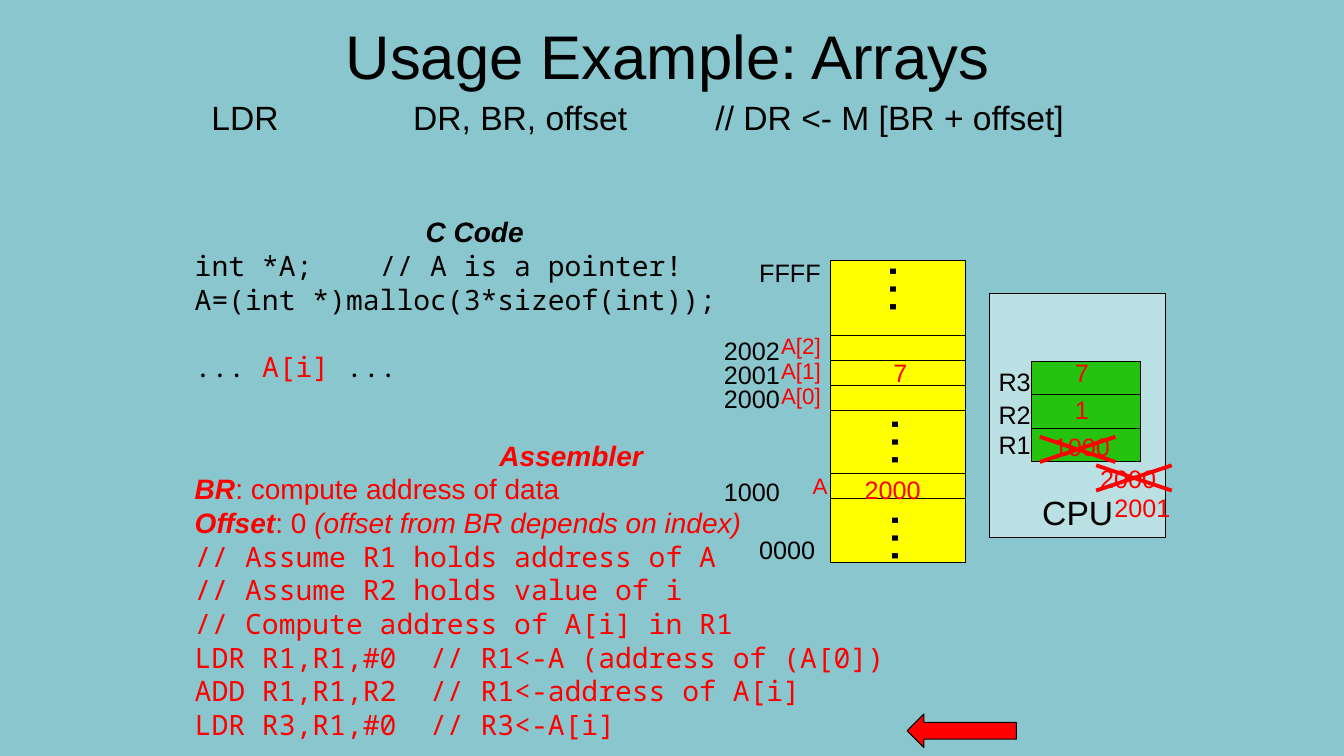
from lxml import etree
from pptx import Presentation
from pptx.dml.color import RGBColor
from pptx.enum.shapes import MSO_CONNECTOR, MSO_SHAPE
from pptx.enum.text import MSO_ANCHOR, MSO_AUTO_SIZE, PP_ALIGN
from pptx.oxml.ns import qn
from pptx.util import Inches, Pt

LEFT, CENTER, RIGHT = PP_ALIGN.LEFT, PP_ALIGN.CENTER, PP_ALIGN.RIGHT
TOP, MIDDLE, BOTTOM = MSO_ANCHOR.TOP, MSO_ANCHOR.MIDDLE, MSO_ANCHOR.BOTTOM
RECT, ARROW = MSO_SHAPE.RECTANGLE, MSO_SHAPE.LEFT_ARROW
STRAIGHT = MSO_CONNECTOR.STRAIGHT
FIT = MSO_AUTO_SIZE.SHAPE_TO_FIT_TEXT

COLORS = {"bg": "8AC6CD", "ink": "000000", "red": "FF0000",
          "memory": "FFFF00", "cpu": "BBE0E3", "register": "25C210"}
SANS, MONO = "Arial", "Noto Sans Mono"
HEAD = {"bold": True, "italic": True}
CODE = {"name": MONO}
COLS, ROWS = 160, 90  # grid of the slide; every box is in columns and rows
UNIT = Inches(7.5) / ROWS


def color(key):
    """Return the named colour."""
    return RGBColor.from_string(COLORS[key])


def emu(*units):
    """Turn grid units into EMU."""
    return [round(u * UNIT) for u in units]


def add_run(p, text, size, ink="ink", **fmt):
    """Add a run with the given font values."""
    r = p.add_run()
    r.text = text
    r.font.color.rgb = color(ink)
    for key, value in {"name": SANS, "size": Pt(size), **fmt}.items():
        setattr(r.font, key, value)


def add_label(s, box, text, size=18, ink="ink", align=LEFT, anchor=TOP, wrap=False):
    """Add a one-line text box."""
    sp = s.shapes.add_textbox(*emu(*box))
    tf = sp.text_frame
    tf.word_wrap, tf.vertical_anchor = wrap, anchor
    if not wrap:
        tf.auto_size = FIT
    p = tf.paragraphs[0]
    p.alignment = align
    add_run(p, text, size, ink)
    return sp


def set_tabs(p, *stops):
    """Give a paragraph left tab stops, in grid units from its start."""
    tabs = etree.SubElement(p._p.get_or_add_pPr(), qn("a:tabLst"))
    for pos in emu(*stops):
        etree.SubElement(tabs, qn("a:tab"), pos=str(pos), algn="l")


def add_block(s, box, fill, kind=RECT):
    """Add a filled shape with a thin black outline."""
    sp = s.shapes.add_shape(kind, *emu(*box))
    sp.shadow.inherit = False
    sp.fill.solid()
    sp.fill.fore_color.rgb = color(fill)
    sp.line.color.rgb = color("ink")
    sp.line.width = Pt(0.75)
    return sp


def add_line(s, x1, y1, x2, y2, ink="ink", width=0.75):
    """Add a straight line without shadow."""
    ln = s.shapes.add_connector(STRAIGHT, *emu(x1, y1, x2, y2))
    ln.line.color.rgb = color(ink)
    ln.line.width = Pt(width)
    etree.SubElement(ln._element.spPr, qn("a:effectLst"))


def add_cross(s, x, y, w=9, h=3):
    """Strike out a value with two red diagonals."""
    add_line(s, x, y, x + w, y + h, "red", 2.75)
    add_line(s, x + w, y, x, y + h, "red", 2.75)


def add_listing(s, box, heading, lines, ink="ink", gaps=()):
    """Add a centred heading over lines of runs; gaps lists lines set off by one line."""
    tf = s.shapes.add_textbox(*emu(*box)).text_frame
    tf.word_wrap = True
    for i, runs in enumerate([[(heading, HEAD)], *lines]):
        p = tf.add_paragraph() if i else tf.paragraphs[0]
        p.alignment = LEFT if i else CENTER
        p.line_spacing = Pt(24)
        p.space_before = Pt(24 if i in gaps else 0)
        for text, fmt in runs:
            add_run(p, text, 20, **{"ink": ink, **fmt})


def add_memory(s, box):
    """Draw the memory column with its addresses, names and values."""
    x, y, w, h = box
    step = 2.95
    add_block(s, box, "memory")
    for row in [9 + step * i for i in range(4)] + [25.4, 25.4 + step]:
        add_line(s, x, y + row, x + w, y + row)
    for dx, dy in [(5.2, -1.1), (5.4, 17.1), (5.4, 28.6)]:
        add_label(s, (x + dx, y + dy, 9.1, 9.2), "…", 40).rotation = 90
    addresses = [("FFFF", -9.7, -1, 9.9), ("0000", -9.7, 32, 9.1),
                 ("1000", -13.9, 25.1, 9.1)]
    addresses += [(str(2002 - i), -13.9, 8.3 + 2.85 * i, 9.1) for i in range(3)]
    for text, dx, dy, width in addresses:
        add_label(s, (x + dx, y + dy, width, 4.8), text)
    names = [(f"A[{2 - i}]", -7.2, 8 + step * i, 7.2) for i in range(3)]
    for text, dx, dy, width in names + [("A", -3.4, 24.6, 4.2)]:
        add_label(s, (x + dx, y + dy, width, 4.4), text, 16, "red", RIGHT)
    for text, dx, dy, width in [("7", 6.2, 11, 4.1), ("2000", 2.8, 24.9, 9.1)]:
        add_label(s, (x + dx, y + dy, width, 4.8), text, 18, "red", RIGHT)


def add_cpu(s, box):
    """Draw the CPU with three registers and their successive values."""
    x, y, w, h = box
    tf = add_block(s, box, "cpu").text_frame
    tf.vertical_anchor = BOTTOM
    tf.paragraphs[0].alignment = CENTER
    add_run(tf.paragraphs[0], "CPU", 24)
    for i, (name, dy) in enumerate([("R3", 8), ("R2", 12), ("R1", 15.5)]):
        add_block(s, (x + 5, y + 8 + 4 * i, 13, 4), "register")
        add_label(s, (x - 0.1, y + dy, 6.2, 4.8), name)
    for text, dy in [("7", 7), ("1", 11.4)]:
        add_label(s, (x + 9, y + dy, 4.1, 4.8), text, 18, "red")
    for text, dx, dy in [("1000", 4.5, 16.2), ("2000", 10, 20), ("2001", 11.7, 23.4)]:
        add_label(s, (x + dx, y + dy, 13, 4), text, 18, "red", CENTER, MIDDLE, True)
    add_cross(s, x + 6, y + 17)
    add_cross(s, x + 12.7, y + 20.4)


def add_header(s, box):
    """Place the title and, under it, the instruction format."""
    x, y, w, h = box
    add_label(s, box, "Usage Example: Arrays", 44, "ink", CENTER, MIDDLE, True)
    sp = add_label(s, (x + 2, y + 12, 108.7, 6),
                   "LDR\t\tDR, BR, offset\t// DR <- M [BR + offset]", 24, wrap=True)
    set_tabs(sp.text_frame.paragraphs[0], 12, 24, 60)


C_CODE = [
    [("int *A;    // A is a pointer!", CODE)],
    [("A=(int *)malloc(3*sizeof(int));", CODE)],
    [("...", CODE), (" A[i] ", {**CODE, "ink": "red"}), ("...", CODE)],
]
ASSEMBLER = [
    [("BR", HEAD), (": compute address of data", {})],
    [("Offset", HEAD), (": 0 ", {}),
     ("(offset from BR depends on index)", {"italic": True})],
] + [[(text, CODE)] for text in (
    "// Assume R1 holds address of A",
    "// Assume R2 holds value of i",
    "// Compute address of A[i] in R1",
    "LDR R1,R1,#0  // R1<-A (address of (A[0])",
    "ADD R1,R1,R2  // R1<-address of A[i]",
    "LDR R3,R1,#0  // R3<-A[i]",
)]

prs = Presentation()
prs.slide_width, prs.slide_height = emu(COLS, ROWS)
s = prs.slides.add_slide(prs.slide_layouts[6])
s.background.fill.solid()
s.background.fill.fore_color.rgb = color("bg")

add_header(s, (22, -1, 115, 15))
add_listing(s, (22, 25, 69, 25.5), "C Code", C_CODE, gaps=(3,))
add_memory(s, (98.9, 31, 16, 36))
add_listing(s, (22, 51.6, 92, 37.5), "Assembler", ASSEMBLER, "red")
add_cpu(s, (117.8, 35, 21, 29))
add_block(s, (108, 85, 13, 4), "red", ARROW)
prs.save("out.pptx")
